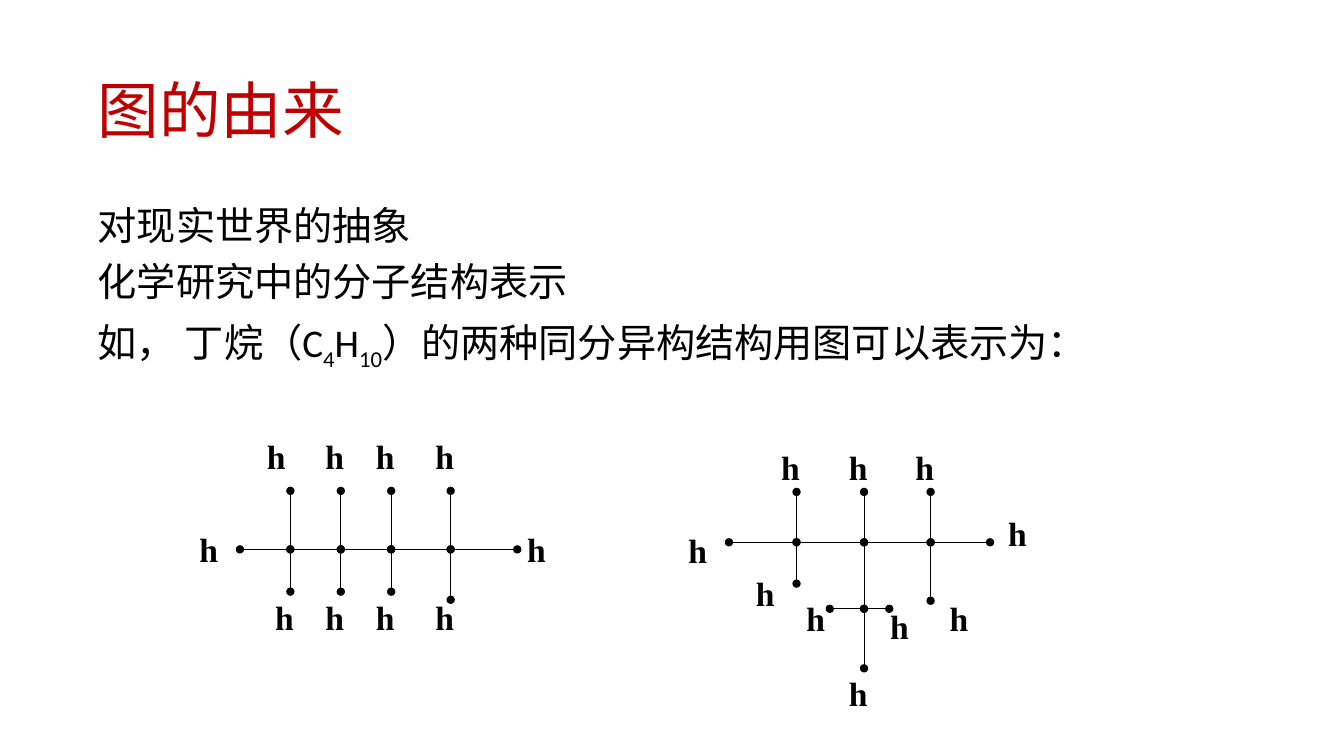
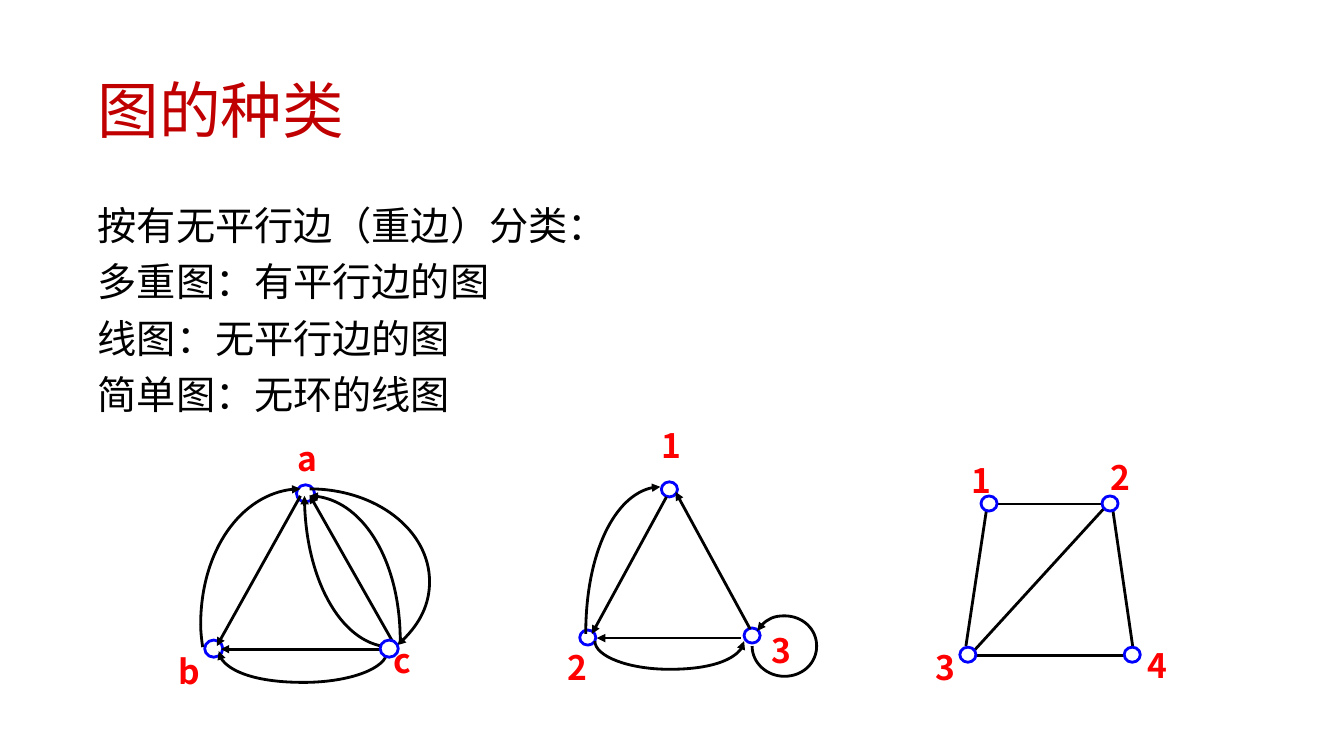
from itertools import pairwise

from lxml import etree
from pptx import Presentation
from pptx.dml.color import RGBColor
from pptx.enum.shapes import MSO_CONNECTOR, MSO_SHAPE
from pptx.enum.text import MSO_ANCHOR
from pptx.oxml.ns import qn
from pptx.util import Inches, Pt

STRAIGHT = MSO_CONNECTOR.STRAIGHT
OVAL = MSO_SHAPE.OVAL
MIDDLE = MSO_ANCHOR.MIDDLE
TOP = MSO_ANCHOR.TOP

COLORS = {
    "title": "C00000",
    "text": "000000",
    "edge": "000000",
    "vertex_fill": "FFFFFF",
    "vertex_line": "0000FF",
    "vertex_label": "FF0000",
}
TEXT_FONT = "Calibri"
ATOM_FONT = "Times New Roman"
VERTEX_FONT = "Noto Sans CJK SC"

# Positions are inches. Bonds are (x1, y1, x2, y2); atoms are label corners.
BUTANE_CHAIN = (2.38, 2.88, 3.38, 3.88, 4.47, 5.13)
BUTANE = {
    "bonds": [(left, 5.45, right, 5.45) for left, right in pairwise(BUTANE_CHAIN)]
    + [(x, 4.87, x, 5.87) for x in BUTANE_CHAIN[1:4]]
    + [(4.47, 4.87, 4.47, 5.95)],
    "atoms": [(x, 4.28) for x in (2.55, 3.13, 3.63, 4.22)]
    + [(x, 5.87) for x in (2.63, 3.13, 3.63, 4.22)]
    + [(1.88, 5.2), (5.13, 5.2)],
}
ISOBUTANE_CHAIN = (7.23, 7.9, 8.57, 9.23, 9.82)
ISOBUTANE = {
    "bonds": [(left, 5.38, right, 5.38) for left, right in pairwise(ISOBUTANE_CHAIN)]
    + [(7.9, 4.88, 7.9, 5.79), (8.57, 4.88, 8.57, 6.04), (9.23, 4.88, 9.23, 5.96)]
    + [(8.23, 6.04, 8.82, 6.04), (8.57, 6.04, 8.57, 6.63)],
    "atoms": [(x, 4.38) for x in (7.65, 8.32, 8.98)]
    + [(6.73, 5.21), (9.9, 5.04), (7.4, 5.63), (8.32, 6.63)]
    + [(9.32, 5.88), (7.9, 5.88), (8.73, 5.96)],
}

# Vertices are top left corners; a curve is a start and triples of Bezier points.
MULTIGRAPH = {
    "vertex_size": (0.18, 0.17),
    "vertices_behind": [(2.94, 4.81), (2.03, 6.35)],
    "vertices_in_front": [(3.77, 6.35)],
    "arrowhead": "triangle",
    "edges": [
        (3.79, 6.44, 2.19, 6.44),
        (3.92, 6.41, 3.07, 4.91),
        (2.98, 4.92, 2.15, 6.41),
    ],
    "curves": [
        [(3.84, 6.46), (3.84, 6.63), (3.47, 6.77), (3.01, 6.77),
         (2.55, 6.77), (2.17, 6.63), (2.17, 6.46)],
        [(3.97, 6.36), (3.97, 5.57), (3.57, 4.92), (3.07, 4.92)],
        [(2.01, 6.42), (2, 6.35), (1.99, 6.27), (1.99, 6.2),
         (1.99, 5.45), (2.44, 4.85), (2.98, 4.85)],
        [(3.89, 6.42), (3.41, 6.42), (3.02, 5.75), (3.02, 4.92)],
        [(3.07, 4.85), (3.73, 4.85), (4.26, 5.26), (4.26, 5.77),
         (4.26, 6), (4.14, 6.23), (3.94, 6.4)],
    ],
    "labels": {"a": (2.95, 4.34), "b": (1.77, 6.46), "c": (3.9, 6.35)},
}
LINE_GRAPH = {
    "vertex_size": (0.16, 0.15),
    "vertices_behind": [(6.56, 4.78), (5.75, 6.25), (7.38, 6.23)],
    "vertices_in_front": [],
    "arrowhead": "triangle",
    "edges": [
        (7.35, 6.33, 5.92, 6.33),
        (7.44, 6.24, 6.7, 4.88),
        (6.61, 4.93, 5.87, 6.29),
    ],
    "curves": [
        [(5.81, 6.29), (5.81, 5.48), (6.14, 4.83), (6.55, 4.83)],
        [(5.9, 6.36), (5.9, 6.51), (6.23, 6.64), (6.64, 6.64),
         (7.05, 6.64), (7.38, 6.51), (7.38, 6.36)],
        [(7.46, 6.41), (7.46, 6.58), (7.61, 6.71), (7.78, 6.71),
         (7.96, 6.71), (8.1, 6.58), (8.1, 6.41),
         (8.1, 6.24), (7.96, 6.11), (7.78, 6.11),
         (7.67, 6.11), (7.56, 6.17), (7.51, 6.26)],
    ],
    "labels": {"1": (6.56, 4.22), "2": (5.63, 6.42), "3": (7.65, 6.25)},
}
SIMPLE_GRAPH = {
    "vertex_size": (0.16, 0.15),
    "vertices_behind": [],
    "vertices_in_front": [(9.73, 4.92), (10.93, 4.92), (9.52, 6.42), (11.15, 6.42)],
    "arrowhead": None,
    "edges": [
        (9.61, 6.5, 11.15, 6.5),
        (11.03, 5.01, 11.24, 6.45),
        (9.79, 5.02, 9.58, 6.41),
        (10.99, 5, 9.62, 6.5),
        (9.88, 5, 10.94, 5),
    ],
    "curves": [],
    "labels": {"1": (9.64, 4.56), "2": (11.01, 4.53), "3": (9.28, 6.42), "4": (11.38, 6.4)},
}


def color(name):
    return RGBColor.from_string(COLORS[name])


def set_font(font, name, size, color_name, bold=False):
    font.name = name
    font.size = Pt(size)
    font.bold = bold
    font.color.rgb = color(color_name)


def add_text_frame(shapes, box, margins, anchor=TOP):
    """Add a wrapping text box; margins are horizontal and vertical, in inches."""
    frame = shapes.add_textbox(*map(Inches, box)).text_frame
    frame.word_wrap = True
    frame.vertical_anchor = anchor
    frame.margin_left = frame.margin_right = Inches(margins[0])
    frame.margin_top = frame.margin_bottom = Inches(margins[1])
    return frame


def fill_paragraph(paragraph, text):
    """Write text in which every second part between bars is a subscript."""
    for index, part in enumerate(text.split("|")):
        run = paragraph.add_run()
        run.text = part
        if index % 2:
            run.font._element.set("baseline", "-25000")


def add_content_slide(presentation, title, lines):
    slide = presentation.slides.add_slide(presentation.slide_layouts[6])
    title_frame = add_text_frame(slide.shapes, (0.92, 0.4, 11.5, 1.45), (0.05, 0.05), MIDDLE)
    paragraph = title_frame.paragraphs[0]
    paragraph.text = title
    paragraph.line_spacing = 0.9
    set_font(paragraph.font, TEXT_FONT, 44, "title")

    body_frame = add_text_frame(slide.shapes, (0.92, 2, 11.5, 4.76), (0.05, 0.05))
    for index, line in enumerate(lines):
        paragraph = body_frame.add_paragraph() if index else body_frame.paragraphs[0]
        fill_paragraph(paragraph, line)
        paragraph.line_spacing = 0.9
        paragraph.space_before = Pt(10)
        set_font(paragraph.font, TEXT_FONT, 28, "text")
    return slide


def add_label(shapes, text, box, margins, font_name, color_name):
    paragraph = add_text_frame(shapes, box, margins).paragraphs[0]
    paragraph.text = text
    set_font(paragraph.font, font_name, 24, color_name, bold=True)


def style_edge(shape, width, head=None, tail=None):
    shape.line.color.rgb = color("edge")
    shape.line.width = Pt(width)
    line = shape.element.spPr.get_or_add_ln()
    for tag, kind in (("a:headEnd", head), ("a:tailEnd", tail)):
        if kind:
            etree.SubElement(line, qn(tag), type=kind)


def add_edge(shapes, ends, width, head=None, tail=None):
    connector = shapes.add_connector(STRAIGHT, *map(Inches, ends))
    style_edge(connector, width, head, tail)
    etree.SubElement(connector.element.spPr, qn("a:effectLst"))


def add_curve(shapes, points, arrowhead):
    """Draw a Bezier curve, turning each three line segments into one curve."""
    start, *rest = [(Inches(x), Inches(y)) for x, y in points]
    builder = shapes.build_freeform(*start)
    builder.add_line_segments(rest, close=False)
    shape = builder.convert_to_shape()
    outline = next(shape.element.iter(qn("a:path")))
    segments = outline.findall(qn("a:lnTo"))
    for index in range(0, len(segments), 3):
        curve = etree.SubElement(outline, qn("a:cubicBezTo"))
        for segment in segments[index:index + 3]:
            curve.append(segment[0])
            outline.remove(segment)
    shape.fill.background()
    shape.shadow.inherit = False
    style_edge(shape, 2, tail=arrowhead)


def add_vertices(shapes, corners, size):
    for corner in corners:
        vertex = shapes.add_shape(OVAL, *map(Inches, corner + size))
        vertex.shadow.inherit = False
        vertex.fill.solid()
        vertex.fill.fore_color.rgb = color("vertex_fill")
        vertex.line.color.rgb = color("vertex_line")
        vertex.line.width = Pt(2)


def add_molecule(slide, molecule):
    shapes = slide.shapes.add_group_shape().shapes
    for bond in molecule["bonds"]:
        add_edge(shapes, bond, 0.75, "oval", "oval")
    for corner in molecule["atoms"]:
        add_label(shapes, "h", corner + (0.6, 0.5), (0.1, 0.05), ATOM_FONT, "text")


def add_graph(slide, graph):
    shapes = slide.shapes.add_group_shape().shapes
    add_vertices(shapes, graph["vertices_behind"], graph["vertex_size"])
    for edge in graph["edges"]:
        add_edge(shapes, edge, 2, tail=graph["arrowhead"])
    for points in graph["curves"]:
        add_curve(shapes, points, graph["arrowhead"])
    add_vertices(shapes, graph["vertices_in_front"], graph["vertex_size"])
    for text, corner in graph["labels"].items():
        add_label(shapes, text, corner + (0.42, 0.5), (0, 0), VERTEX_FONT, "vertex_label")


def main():
    presentation = Presentation()
    presentation.slide_width = Inches(13.33)
    presentation.slide_height = Inches(7.5)

    origin_slide = add_content_slide(presentation, "图的由来", [
        "对现实世界的抽象",
        "化学研究中的分子结构表示",
        "如， 丁烷（C|4|H|10|）的两种同分异构结构用图可以表示为：",
    ])
    for molecule in (BUTANE, ISOBUTANE):
        add_molecule(origin_slide, molecule)

    kinds_slide = add_content_slide(presentation, "图的种类", [
        "按有无平行边（重边）分类：",
        "多重图：有平行边的图",
        "线图：无平行边的图",
        "简单图：无环的线图",
    ])
    for graph in (MULTIGRAPH, LINE_GRAPH, SIMPLE_GRAPH):
        add_graph(kinds_slide, graph)

    presentation.save("out.pptx")


if __name__ == "__main__":
    main()
